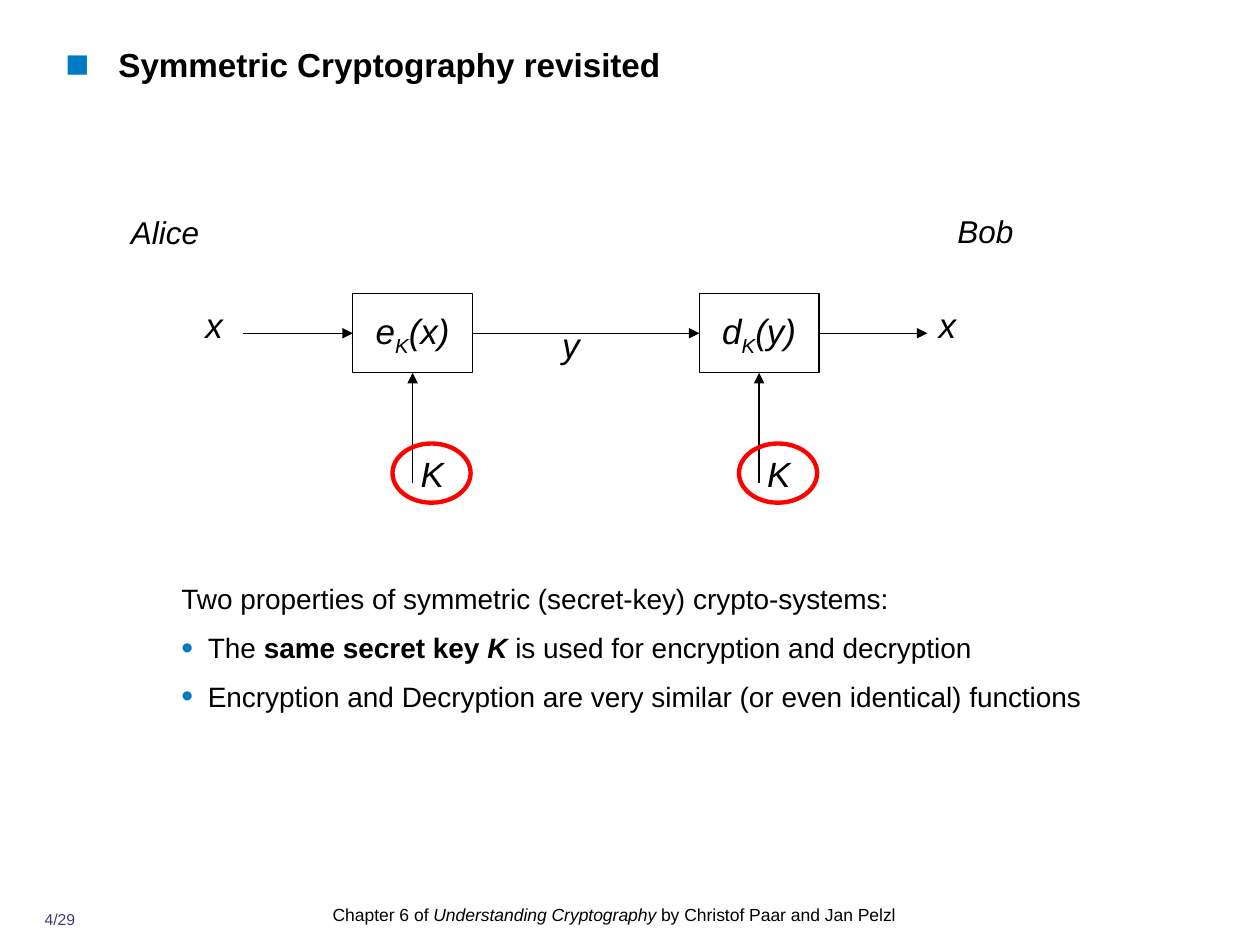
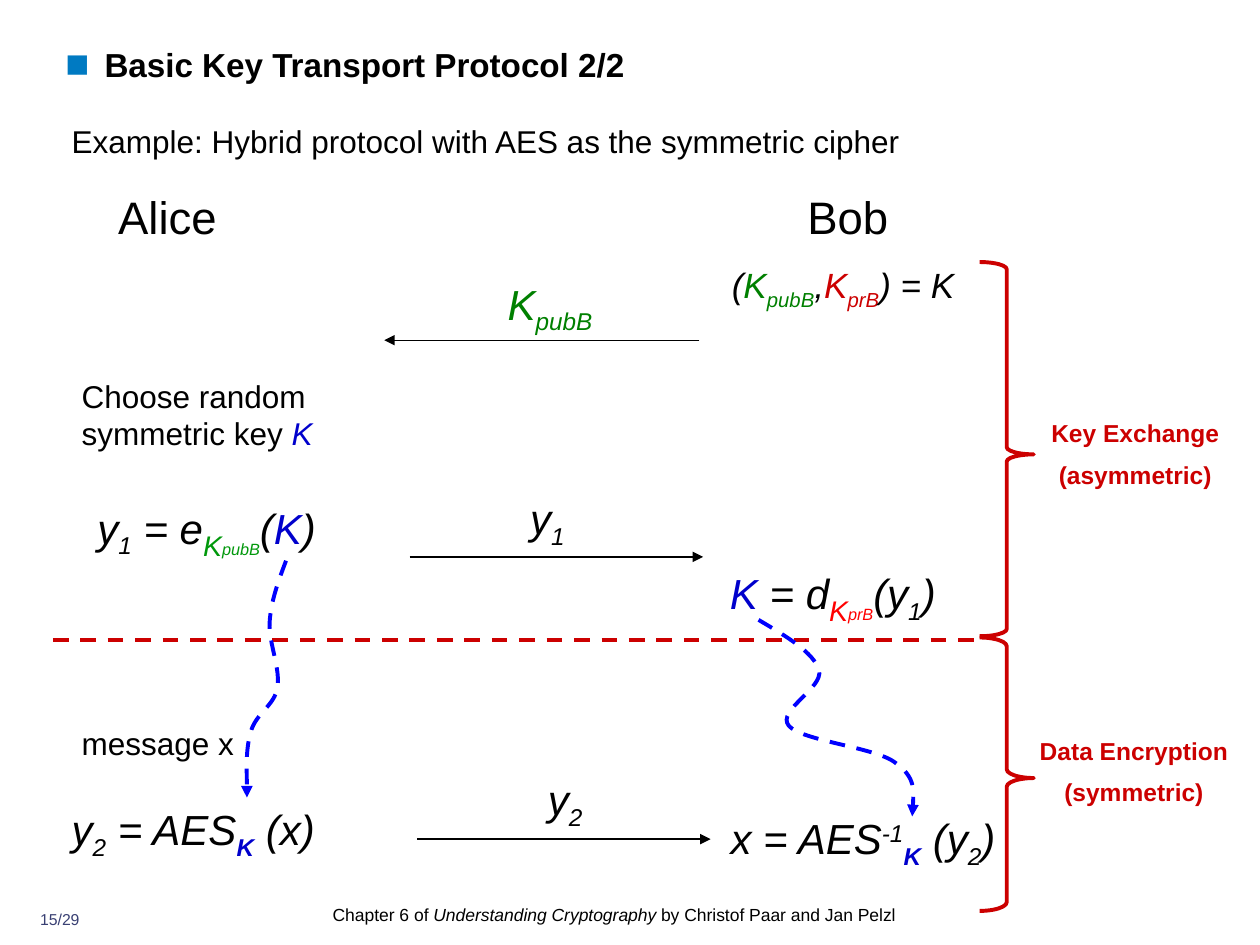
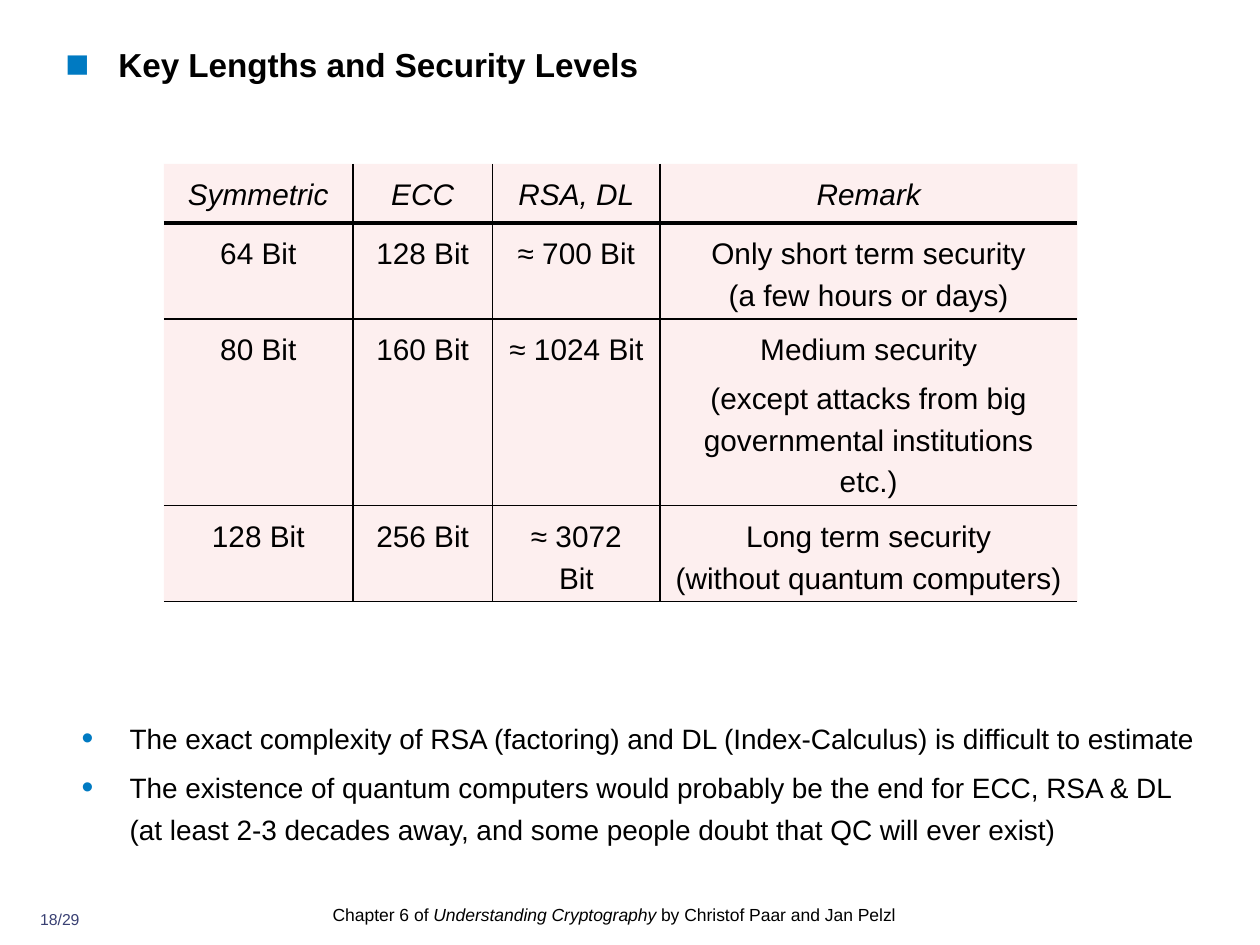
from lxml import etree
from pptx import Presentation
from pptx.dml.color import RGBColor
from pptx.enum.dml import MSO_LINE
from pptx.enum.shapes import MSO_CONNECTOR, MSO_SHAPE
from pptx.enum.text import MSO_ANCHOR, MSO_AUTO_SIZE, PP_ALIGN
from pptx.oxml.ns import qn
from pptx.util import Inches, Pt

LEFT, CENTER = PP_ALIGN.LEFT, PP_ALIGN.CENTER
TOP, MIDDLE = MSO_ANCHOR.TOP, MSO_ANCHOR.MIDDLE
FIT_SHAPE, NO_FIT = MSO_AUTO_SIZE.SHAPE_TO_FIT_TEXT, MSO_AUTO_SIZE.NONE
STRAIGHT, DASH = MSO_CONNECTOR.STRAIGHT, MSO_LINE.DASH
RECT, OVAL, BRACE = MSO_SHAPE.RECTANGLE, MSO_SHAPE.OVAL, MSO_SHAPE.RIGHT_BRACE
SIDE_LEFT, SIDE_BOTTOM, SIDE_RIGHT = 1, 2, 3

WIDTH, HEIGHT = Inches(10), Inches(7.5)
COL, ROW = WIDTH / 100, HEIGHT / 75
FONT = "Arial"
BLACK, ACCENT, PAGE = "000000", "007AC2", "394073"
RED, BRIGHT_RED, CRIMSON = "FF0000", "FF0000", "CC0000"
GREEN, LEAF, KEY_BLUE, PATH_BLUE = "008000", "00980B", "0000CC", "0000FF"
CELL = "FCE0E1"

SUB = {"base": -25}
PLAIN_K = ("K", {"color": KEY_BLUE})
BOLD_SUB_K = ("K", {"color": KEY_BLUE, "bold": True, **SUB})

KEY_LENGTHS = [
    ["Symmetric", "ECC", "RSA, DL", "Remark"],
    ["64 Bit", "128 Bit", "≈ 700 Bit", "Only short term security\v(a few hours or days)"],
    ["80 Bit", "160 Bit", "≈ 1024 Bit",
     "Medium security\n(except attacks from big governmental institutions etc.)"],
    ["128 Bit", "256 Bit", "≈ 3072\vBit", "Long term security\v(without quantum computers)"],
]
ALICE_PATH = [(22.7, 44.5), (22.1, 46.1), (21.5, 47.7), (21.4, 49.4),
              (21.3, 51), (22.3, 53.1), (22, 54.6), (21.8, 56), (20.3, 56.6),
              (19.9, 58.1), (19.5, 59.5), (19.6, 61.4), (19.6, 63.3)]
BOB_PATH = [(60.2, 49.2), (62.4, 50.5), (64.6, 51.8), (65, 53.2),
            (65.4, 54.6), (61.6, 56.4), (62.6, 57.6), (63.6, 58.8), (69.4, 59.3),
            (71, 60.5), (72.7, 61.7), (72.5, 63.3), (72.4, 64.8)]


def rgb(color):
    return RGBColor.from_string(color)


def grid(*numbers):
    return [round(n * (COL, ROW)[i % 2]) for i, n in enumerate(numbers)]


def write(p, content, **style):
    if isinstance(content, str):
        p.text = content
        looks = [{}] * len(p.runs)
    else:
        for text, _ in content:
            p.add_run().text = text
        looks = [look for _, look in content]
    for r, look in zip(p.runs, looks):
        look = {"size": 18, "color": BLACK, **style, **look}
        r.font.name = FONT
        r.font.size = Pt(look["size"])
        r.font.color.rgb = rgb(look["color"])
        r.font.bold = look.get("bold", False)
        r.font.italic = look.get("italic", False)
        if "base" in look:
            r.font._element.set("baseline", str(look["base"] * 1000))


def fill_text(tf, paragraphs, align=LEFT, leading=None, gap=0, **style):
    for i, content in enumerate(paragraphs):
        p = tf.add_paragraph() if i else tf.paragraphs[0]
        p.alignment = align
        if leading:
            p.line_spacing = leading
        if i and gap:
            p.space_before = Pt(gap)
        write(p, content, **style)


def text_box(s, area, paragraphs, anchor=TOP, inset=True, grow=True, **style):
    tf = s.shapes.add_textbox(*grid(*area)).text_frame
    tf.word_wrap = True
    tf.auto_size = FIT_SHAPE if grow else NO_FIT
    tf.vertical_anchor = anchor
    if not inset:
        tf.margin_left = tf.margin_right = tf.margin_top = tf.margin_bottom = 0
    fill_text(tf, paragraphs, **style)
    return tf


def add_bullet(p, char, indent):
    pPr = p._p.get_or_add_pPr()
    pPr.set("marL", str(round(indent * COL)))
    pPr.set("indent", str(-round(indent * COL)))
    color = etree.SubElement(pPr, qn("a:buClr"))
    etree.SubElement(color, qn("a:srgbClr"), val=ACCENT)
    etree.SubElement(pPr, qn("a:buSzPct"), val="120000")
    etree.SubElement(pPr, qn("a:buFont"), typeface=FONT)
    etree.SubElement(pPr, qn("a:buChar"), char=char)


def style_line(sp, color, width, dash=None, arrow=False):
    sp.line.color.rgb = rgb(color)
    sp.line.width = Pt(width)
    if dash:
        sp.line.dash_style = dash
    if arrow:
        ln = sp._element.spPr.find(qn("a:ln"))
        etree.SubElement(ln, qn("a:tailEnd"), type="triangle")


def outline(s, kind, area, color, width, adjust=()):
    sp = s.shapes.add_shape(kind, *grid(*area))
    sp.shadow.inherit = False
    sp.fill.background()
    style_line(sp, color, width)
    for i, value in enumerate(adjust):
        sp.adjustments[i] = value
    return sp


def line(s, ends, start=None, end=None, color=BLACK, width=0.75, dash=None, arrow=True):
    cxn = s.shapes.add_connector(STRAIGHT, *grid(*ends))
    if start:
        cxn.begin_connect(*start)
    if end:
        cxn.end_connect(*end)
    style_line(cxn, color, width, dash, arrow)
    etree.SubElement(cxn._element.spPr, qn("a:effectLst"))


def curve(s, points):
    first, *rest = [grid(*point) for point in points]
    builder = s.shapes.build_freeform(*first)
    builder.add_line_segments(rest, close=False)
    sp = builder.convert_to_shape()
    sp.shadow.inherit = False
    sp.fill.background()
    style_line(sp, PATH_BLUE, 2.25, DASH, arrow=True)
    track = next(sp._element.iter(qn("a:path")))
    segments = track.findall(qn("a:lnTo"))
    for i in range(0, len(segments), 3):
        bezier = etree.SubElement(track, qn("a:cubicBezTo"))
        for segment in segments[i:i + 3]:
            bezier.append(segment[0])
            track.remove(segment)


def add_slide(prs, title, page, indent=4.2):
    s = prs.slides.add_slide(prs.slide_layouts[6])
    tf = text_box(s, (5.2, 3.5, 70.7, 5.6), [title], inset=False, grow=False, size=19, bold=True)
    add_bullet(tf.paragraphs[0], "■", indent)
    text_box(s, (2, 72.2, 5.5, 2.4), [f"{page}/29"], inset=False, grow=False,
             align=CENTER, size=9, color=PAGE)
    footer = [("Chapter 6 of ", {}), ("Understanding Cryptography", {"italic": True}),
              (" by Christof Paar and Jan Pelzl", {})]
    text_box(s, (26.4, 71.4, 47.3, 2.8), [footer], inset=False, grow=False, leading=1.2, size=10)
    return s


def cipher_box(s, left, name, argument):
    sp = outline(s, RECT, (left, 23.3, 9.5, 6.3), BLACK, 0.75)
    tf = sp.text_frame
    tf.margin_left = tf.margin_right = tf.margin_top = tf.margin_bottom = 0
    tf.vertical_anchor = MIDDLE
    fill_text(tf, [[(name, {}), ("K", SUB), (argument, {})]], align=CENTER, size=20, italic=True)
    middle = left + 4.75
    line(s, (middle, 38.3, middle, 29.6), end=(sp, SIDE_BOTTOM))
    symbol(s, middle - 0.05, 35.9, "K")
    outline(s, OVAL, (middle - 1.6, 35.2, 6.2, 4.7), RED, 2.5)
    return sp


def symbol(s, left, top, text):
    text_box(s, (left, top, 3.2, 3.3), [text], inset=False, align=CENTER, size=20, italic=True)


def phase(s, top, height, bend, label_area, words):
    outline(s, BRACE, (77.75, top, 4.3, height), CRIMSON, 2.25, (bend, 0.514))
    text_box(s, label_area, words, align=CENTER, gap=7, size=14, bold=True, color=CRIMSON)


def formula(s, area, pieces, size=24, **style):
    text_box(s, area, [pieces], size=size, italic=True, **style)


def border(tcPr, side, width):
    ln = etree.SubElement(tcPr, qn(f"a:ln{side}"), w=str(Pt(width)))
    if width:
        fill = etree.SubElement(ln, qn("a:solidFill"))
        etree.SubElement(fill, qn("a:srgbClr"), val=BLACK)
    else:
        etree.SubElement(ln, qn("a:noFill"))


def key_table(s, corner, columns, rows):
    size = (sum(columns), sum(rows))
    table = s.shapes.add_table(len(rows), len(columns), *grid(*corner, *size)).table
    table.first_row = table.horz_banding = False
    for column, width in zip(table.columns, columns):
        column.width = round(width * COL)
    for i, height in enumerate(rows):
        table.rows[i].height = round(height * ROW)
        for j, text in enumerate(KEY_LENGTHS[i]):
            cell = table.cell(i, j)
            fill_text(cell.text_frame, text.split("\n"), align=CENTER, leading=1.25, gap=4,
                      size=17, italic=i == 0)
            tcPr = cell._tc.get_or_add_tcPr()
            border(tcPr, "L", 1 if j else 0)
            border(tcPr, "R", 1 if j < len(columns) - 1 else 0)
            border(tcPr, "T", (0, 2.25, 1, 1)[i])
            border(tcPr, "B", 1 if i else 2.25)
            cell.fill.solid()
            cell.fill.fore_color.rgb = rgb(CELL)
            shade = tcPr.find(qn("a:solidFill"))[0]
            etree.SubElement(shade, qn("a:alpha"), val="50000")


def symmetric_slide(prs):
    s = add_slide(prs, "Symmetric Cryptography revisited", 4)
    encrypt = cipher_box(s, 28, "e", "(x)")
    decrypt = cipher_box(s, 55.5, "d", "(y)")
    line(s, (19.3, 26.45, 28, 26.45), end=(encrypt, SIDE_LEFT))
    line(s, (37.5, 26.45, 55.5, 26.45), (encrypt, SIDE_RIGHT), (decrypt, SIDE_LEFT))
    line(s, (65, 26.45, 73.6, 26.45), start=(decrypt, SIDE_RIGHT))
    symbol(s, 15.4, 24.1, "x")
    symbol(s, 43.7, 25.7, "y")
    symbol(s, 73.6, 24.1, "x")
    text_box(s, (9.4, 16.4, 9.4, 4), ["Alice"], italic=True)
    text_box(s, (75, 16.3, 12.5, 4), ["Bob"], italic=True)
    tf = text_box(s, (14.4, 45.5, 84, 13), [
        "Two properties of symmetric (secret-key) crypto-systems:",
        [("The ", {}), ("same secret key ", {"bold": True}),
         ("K ", {"bold": True, "italic": True}), ("is used for encryption and decryption", {})],
        "Encryption and Decryption are very similar (or even identical) functions",
    ], inset=False, leading=1.25, gap=4, size=16)
    for p in tf.paragraphs[1:]:
        add_bullet(p, "•", 2.1)


def protocol_slide(prs):
    s = add_slide(prs, "Basic Key Transport Protocol 2/2", 15, indent=3.1)
    text_box(s, (4.7, 9.2, 80.5, 4), ["Example: Hybrid protocol with AES as the symmetric cipher"])
    for left, name in ((0, "Alice"), (54, "Bob")):
        text_box(s, (left, 15.5, 26.6, 4), [name], inset=False, align=CENTER, leading=0.9, size=26)

    line(s, (4.2, 50.8, 77.6, 50.8), color=CRIMSON, width=2.25, dash=DASH, arrow=False)
    line(s, (55.5, 27, 30.5, 27))
    line(s, (32.5, 44.2, 55.8, 44.2))
    line(s, (33.1, 66.6, 56.4, 66.6))
    formula(s, (39.3, 21.6, 10, 5), [("K", {}), ("pubB", SUB)], color=GREEN)
    formula(s, (41.1, 38.6, 9, 5.1), [("y", {}), ("1", SUB)])
    formula(s, (42.5, 60.9, 11.1, 5.1), [("y", {}), ("2", SUB)])

    formula(s, (57.1, 20.4, 24.2, 4.3), [
        ("(", {}), ("K", {"color": GREEN}), ("pubB", {"color": GREEN, **SUB}), (",", {}),
        ("K", {"color": CRIMSON}), ("prB", {"color": CRIMSON, **SUB}), (") = K", {})], size=20)
    text_box(s, (5.5, 29.4, 22.8, 7.1), [[
        ("Choose random symmetric key ", {}), ("K", {"color": KEY_BLUE, "italic": True})]])
    formula(s, (6.2, 39.4, 20.4, 5.1), [
        ("y", {}), ("1", SUB), (" = e", {}), ("K", {"size": 28, "color": LEAF, **SUB}),
        ("pubB", {"size": 16, "color": LEAF, "base": -40}), ("(", {}), PLAIN_K, (")", {})],
        anchor=MIDDLE, align=CENTER)
    formula(s, (56.5, 44.6, 19.2, 5.1), [
        PLAIN_K, (" = d", {}), ("K", {"size": 28, "color": BRIGHT_RED, **SUB}),
        ("prB", {"size": 16, "color": BRIGHT_RED, "base": -40}),
        ("(y", {}), ("1", SUB), (")", {})], anchor=MIDDLE, align=CENTER)
    text_box(s, (5.5, 57, 17.2, 4), ["message x"])
    formula(s, (4.7, 63.3, 23.5, 5.1), [
        ("y", {}), ("2", SUB), (" = AES", {}), BOLD_SUB_K, (" (x)", {})])
    formula(s, (57, 64, 28, 5.1), [
        ("x = AES", {}), ("-1", {"base": 30}), BOLD_SUB_K, (" (y", {}), ("2", SUB), (")", {})])

    curve(s, ALICE_PATH)
    curve(s, BOB_PATH)
    phase(s, 20.8, 29.7, 0.134, (81.2, 32.7, 17.8, 6.9), ["Key Exchange", "(asymmetric)"])
    phase(s, 50.6, 21.7, 0.162, (80.3, 57.9, 19.4, 6.9), ["Data Encryption", "(symmetric)"])


def key_length_slide(prs):
    s = add_slide(prs, "Key Lengths and Security Levels", 18)
    key_table(s, (13, 13), (15, 11.1, 13.3, 33.1), (4.7, 7.6, 14.8, 7.6))
    tf = text_box(s, (5.5, 56.1, 90.5, 11.1), [
        "The exact complexity of RSA (factoring) and DL (Index-Calculus) is difficult to estimate",
        "The existence of quantum computers would probably be the end for ECC, RSA & DL "
        "(at least 2-3 decades away, and some people doubt that QC will ever exist)",
    ], grow=False, leading=1.25, gap=4, size=16)
    for p in tf.paragraphs:
        add_bullet(p, "•", 3.8)


def main():
    prs = Presentation()
    prs.slide_width, prs.slide_height = WIDTH, HEIGHT
    symmetric_slide(prs)
    protocol_slide(prs)
    key_length_slide(prs)
    prs.save("out.pptx")


if __name__ == "__main__":
    main()
